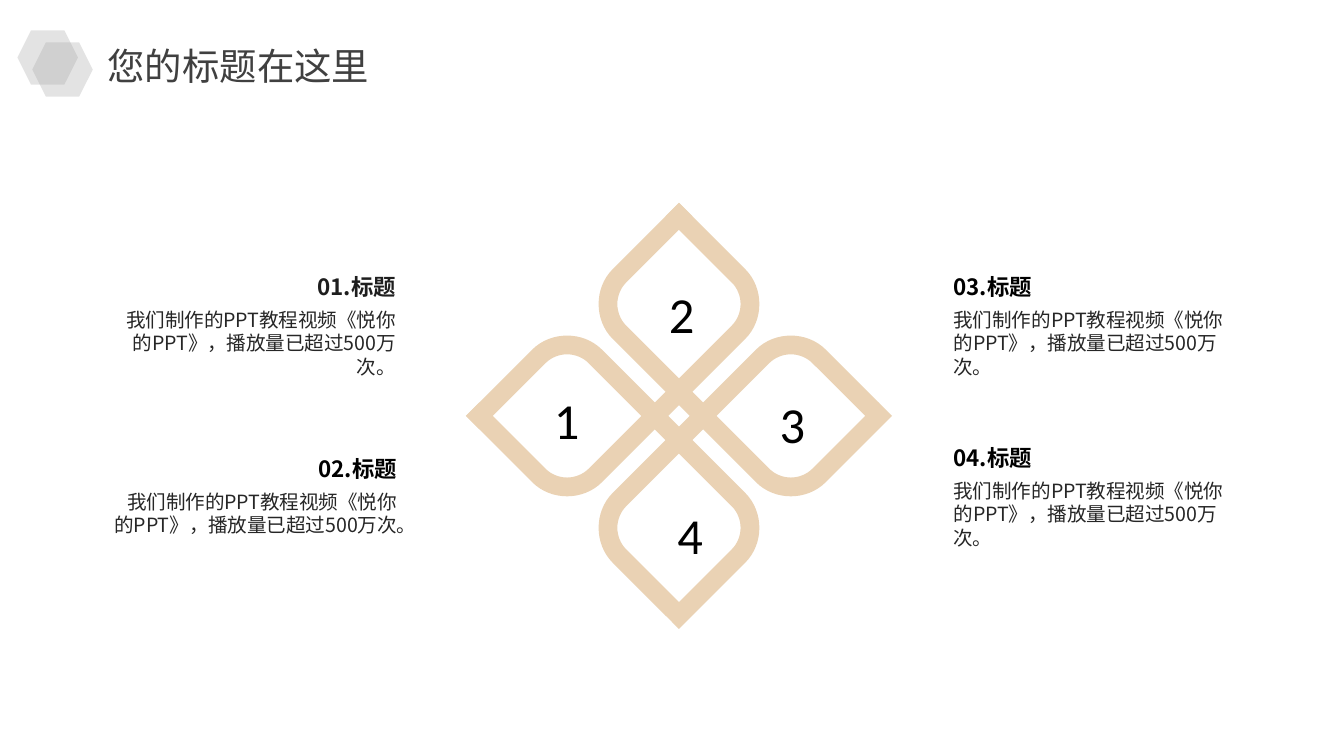
from lxml import etree
from pptx import Presentation
from pptx.dml.color import RGBColor
from pptx.enum.shapes import MSO_SHAPE
from pptx.enum.text import MSO_ANCHOR, MSO_AUTO_SIZE, PP_ALIGN
from pptx.oxml.ns import qn
from pptx.util import Inches, Pt

HEX = MSO_SHAPE.HEXAGON
TOP = MSO_ANCHOR.TOP
GROW = MSO_AUTO_SIZE.SHAPE_TO_FIT_TEXT
LEFT, RIGHT, MID = PP_ALIGN.LEFT, PP_ALIGN.RIGHT, PP_ALIGN.CENTER

CELL = Inches(0.1)
COLS, ROWS = 100, 56.25
HAN, LATIN = "Noto Sans CJK SC", "Calibri"
INKS = {
    "sand": "EAD2B4",
    "grey": "A6A6A6",
    "title": "404040",
    "body": "262626",
    "dark": "1E1E1E",
    "black": "000000",
}
BODY = "我们制作的PPT教程视频《悦你的PPT》，播放量已超过500万次。"
BENDS = [side + i for side in (0, 16) for i in (1, 4, 10, 13)]


def grid(*cells):
    """Turn grid cells into whole lengths."""
    return [round(c * CELL) for c in cells]


def ink(name):
    """Look up a colour by name."""
    return RGBColor.from_string(INKS[name])


def write(shapes, text, box, size=10.5, font=HAN, color="body", bold=False,
          align=LEFT, wrap=True, pad=(1, 0.5)):
    """Put one line or paragraph of text in a box of grid cells."""
    frame = shapes.add_textbox(*grid(*box)).text_frame
    frame.word_wrap = wrap
    frame.auto_size = GROW
    frame.vertical_anchor = TOP
    frame.margin_left = frame.margin_right = grid(pad[0])[0]
    frame.margin_top = frame.margin_bottom = grid(pad[1])[0]
    para = frame.paragraphs[0]
    para.alignment = align
    run = para.add_run()
    run.text = text
    run.font.size = Pt(size)
    run.font.bold = bold
    run.font.name = font
    run.font.color.rgb = ink(color)
    east = etree.SubElement(run.font._element, qn("a:ea"))
    east.set("typeface", font)


def paint(shape, color, alpha=None):
    """Give a shape a flat fill with no line or shadow."""
    shape.shadow.inherit = False
    shape.line.fill.background()
    shape.fill.solid()
    shape.fill.fore_color.rgb = ink(color)
    if alpha:
        tint = shape.fill._xPr.find(".//" + qn("a:srgbClr"))
        etree.SubElement(tint, qn("a:alpha")).set("val", str(alpha * 1000))


def loop(trim):
    """List a ribbon's nodes and handles, mirrored on its diagonal."""
    half = [
        (5.75, -4.95), (6.45, -5.65), (7.4, -6), (8.35, -6),
        (9.3, -6), (10.25, -5.65), (10.95, -4.95),
        (15.9 - trim, -trim), (14.9 - trim, 1 - trim),
        (9.95, -3.95), (9.55, -4.35), (8.95, -4.6), (8.35, -4.6),
        (7.75, -4.6), (7.15, -4.35), (6.75, -3.95),
    ]
    return half + [(y, x) for x, y in reversed(half)]


def smooth(shape):
    """Join the handles of each bend into a cubic curve."""
    track = shape._element.find(".//" + qn("a:path"))
    lines = track.findall(qn("a:lnTo"))
    for i in BENDS:
        curve = etree.SubElement(track, qn("a:cubicBezTo"))
        lines[i - 1].addprevious(curve)
        for line in lines[i - 1:i + 2]:
            curve.append(line[0])
            track.remove(line)


def knot(slide, box):
    """Weave four ribbons into petals and number them."""
    x, y, w, h = box
    group = slide.shapes.add_group_shape().shapes
    unit = w / 31.8
    for turn, trim in ((0, 0.95), (2, 0), (1, 0), (3, 0)):
        dots = loop(trim)
        for _ in range(turn):
            dots = [(-b, a) for a, b in dots]
        dots = [grid(x + w / 2 + a * unit, y + h / 2 + b * unit)
                for a, b in dots]
        draft = group.build_freeform(*dots[0], scale=1)
        draft.add_line_segments(dots[1:], close=True)
        ribbon = draft.convert_to_shape()
        smooth(ribbon)
        paint(ribbon, "sand")
    wide, tall = 4.1, 5.6
    spots = {"2": (0.51, 0.26), "3": (0.77, 0.52),
             "4": (0.53, 0.78), "1": (0.24, 0.51)}
    for text, (across, down) in spots.items():
        spot = (x + across * w - wide / 2, y + down * h - tall / 2, wide, tall)
        write(group, text, spot, size=27, font=LATIN, color="black",
              wrap=False)


def note(slide, box, head, align, color="black"):
    """Set a bold heading above its paragraph."""
    x, y, w, h = box
    group = slide.shapes.add_group_shape().shapes
    pad = (1.5, 0.7)
    write(group, head, (x, y, w, 3.5), size=12, bold=True,
          color=color, align=align, pad=pad)
    write(group, BODY, (x, y + 2.6, w, h - 2.6), align=align, pad=pad)


def banner(slide, box):
    """Draw two crossed hexagons and the slide title."""
    x, y, w, h = box
    group = slide.shapes.add_group_shape().shapes
    for step in (0, 1):
        spot = grid(x + 1.1 * step, y + 0.9 * step, 4.5, 4.05)
        paint(group.add_shape(HEX, *spot), "grey", 31)
    write(slide.shapes, "您的标题在这里", (x + 5.6, y + 0.5, w - 5.6, h - 0.5),
          size=20, color="title", align=MID, wrap=False)


def main():
    """Build the slide and save it."""
    deck = Presentation()
    deck.slide_width, deck.slide_height = grid(COLS, ROWS)
    slide = deck.slides.add_slide(deck.slide_layouts[6])
    knot(slide, (34.67, 15.1, 31.7, 31.7))
    note(slide, (7.05, 19.6, 23.9, 9.4), "01.标题", RIGHT, "dark")
    note(slide, (6.63, 33.15, 24.4, 9.4), "02.标题", RIGHT)
    note(slide, (69.45, 19.6, 23.9, 9.4), "03.标题", LEFT)
    note(slide, (69.45, 32.32, 23.9, 9.4), "04.标题", LEFT)
    banner(slide, (1.3, 2.25, 27.3, 4.95))
    deck.save("out.pptx")


if __name__ == "__main__":
    main()
